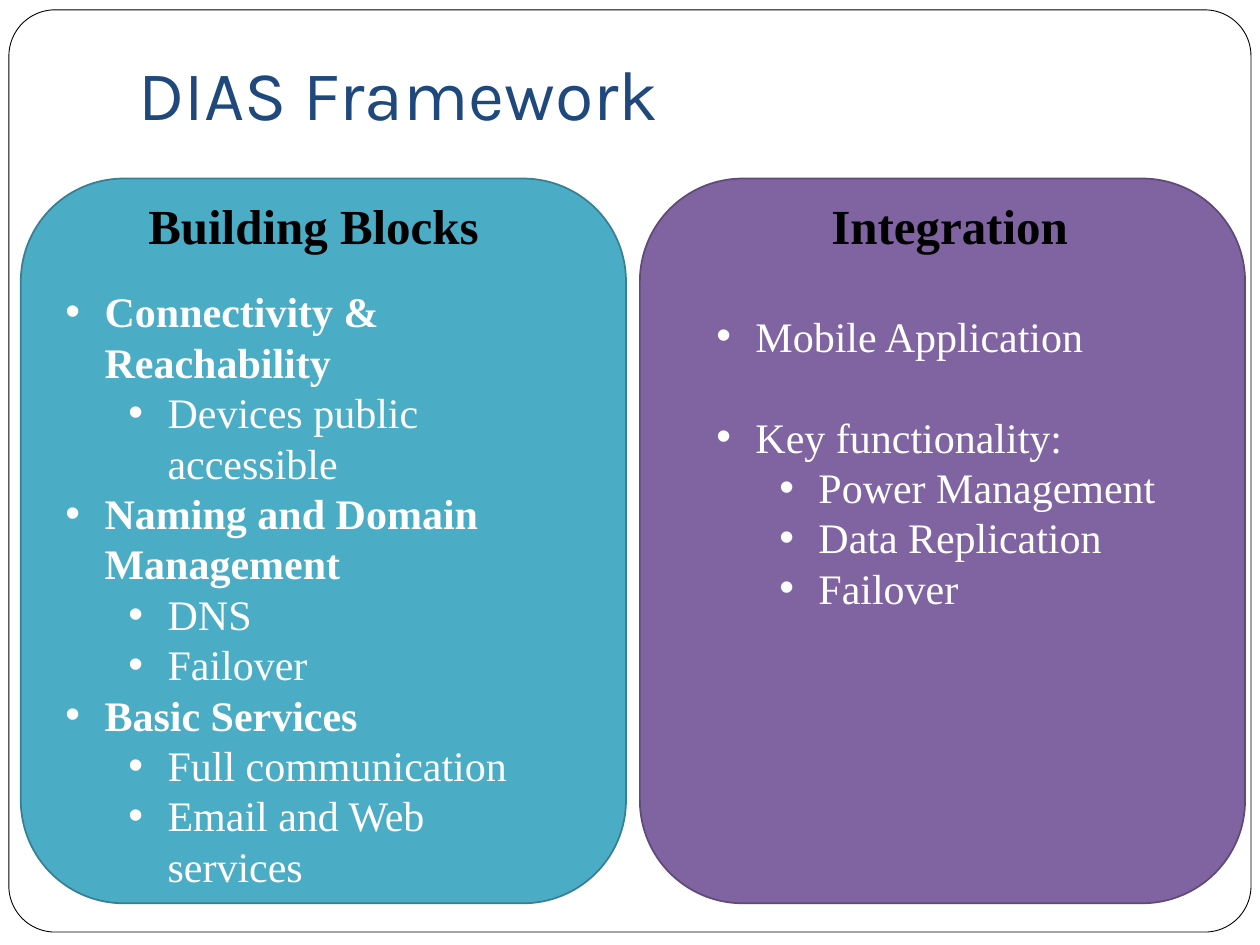
from lxml import etree
from pptx import Presentation
from pptx import util as u
from pptx.dml.color import RGBColor
from pptx.enum import shapes, text
from pptx.oxml import ns

WHITE = RGBColor(0xFF, 0xFF, 0xFF)
BLACK = RGBColor(0, 0, 0)
NAVY = RGBColor(0x1F, 0x49, 0x7D)
TEAL = RGBColor(0x4B, 0xAC, 0xC6)
TEAL_EDGE = RGBColor(0x37, 0x7F, 0x92)
PURPLE = RGBColor(0x80, 0x64, 0xA2)
PURPLE_EDGE = RGBColor(0x5F, 0x4A, 0x78)

SERIF = "Times New Roman"
LINE_FACTOR = 1.2
INDENTS = (0.79, 2.06)
HANGING = 0.79

TITLE = "DIAS Framework"
PANELS = [
    {
        "heading": "Building Blocks", "heading_at": (2.74, 3.81, 8.05, 1.45),
        "fill": TEAL, "edge": TEAL_EDGE,
        "list_at": (1.07, 5.64, 10.59, 12.57), "bold_top": True, "gap": 0,
        "items": [
            (0, "Connectivity & Reachability"),
            (1, "Devices public accessible"),
            (0, "Naming and Domain Management"),
            (1, "DNS"),
            (1, "Failover"),
            (0, "Basic Services"),
            (1, "Full communication"),
            (1, "Email and Web services"),
        ],
    },
    {
        "heading": "Integration", "heading_at": (16.51, 3.81, 5.36, 1.45),
        "fill": PURPLE, "edge": PURPLE_EDGE,
        "list_at": (14.19, 6.13, 9.53, 8.46), "bold_top": False, "gap": 28.8,
        "items": [
            (0, "Mobile Application"),
            (0, "Key functionality:"),
            (1, "Power Management"),
            (1, "Data Replication"),
            (1, "Failover"),
        ],
    },
]
PANEL_LEFT, PANEL_TOP, PANEL_WIDTH, PANEL_HEIGHT = 0.42, 3.6, 12.2, 14.61
PANEL_STEP = 12.48


def add_panel(page, area, fill, edge, width, radius):
    panel = page.shapes.add_shape(
        shapes.MSO_SHAPE.ROUNDED_RECTANGLE, *map(u.Cm, area))
    panel.shadow.inherit = False
    panel.adjustments[0] = radius
    panel.fill.solid()
    panel.fill.fore_color.rgb = fill
    panel.line.color.rgb = edge
    panel.line.width = u.Pt(width)


def add_bullet(para, level):
    para.level = level
    props = para._p.get_or_add_pPr()
    props.set("marL", str(u.Cm(INDENTS[level])))
    props.set("indent", str(-u.Cm(HANGING)))
    etree.SubElement(props, ns.qn("a:buFont"), typeface="Arial")
    etree.SubElement(props, ns.qn("a:buChar"), char="•")


def add_text(page, area, items, size, color, font=SERIF, bold=False,
             bold_top=False, bullets=False, gap=0, wrap=True,
             anchor=text.MSO_ANCHOR.TOP, bottom=0.13, spacing=LINE_FACTOR):
    box = page.shapes.add_textbox(*map(u.Cm, area))
    frame = box.text_frame
    frame.word_wrap = wrap
    frame.vertical_anchor = anchor
    frame.margin_bottom = u.Cm(bottom)
    for index, (level, words) in enumerate(items):
        para = frame.add_paragraph() if index else frame.paragraphs[0]
        if spacing:
            para.line_spacing = u.Pt(size * spacing)
        if gap and index and level == 0:
            para.space_before = u.Pt(gap)
        if bullets:
            add_bullet(para, level)
        span = para.add_run()
        span.text = words
        span.font.name = font
        span.font.size = u.Pt(size)
        span.font.bold = bold or (bold_top and level == 0)
        span.font.color.rgb = color


def main():
    deck = Presentation()
    deck.slide_width, deck.slide_height = u.Cm(25.4), u.Cm(19.05)
    page = deck.slides.add_slide(deck.slide_layouts[6])

    add_panel(page, (0.18, 0.2, 25.04, 18.59), WHITE, BLACK, 0.5, 0.05)
    add_text(page, (2.54, -0.2, 21.59, 3.16), [(0, TITLE)], 40, NAVY,
             font="Karla", anchor=text.MSO_ANCHOR.BOTTOM, bottom=0.25,
             spacing=None)

    for index, panel in enumerate(PANELS):
        left = PANEL_LEFT + index * PANEL_STEP
        add_panel(page, (left, PANEL_TOP, PANEL_WIDTH, PANEL_HEIGHT),
                  panel["fill"], panel["edge"], 1, 0.17)
        add_text(page, panel["list_at"], panel["items"], 24, WHITE,
                 bold_top=panel["bold_top"], bullets=True, gap=panel["gap"])
        add_text(page, panel["heading_at"], [(0, panel["heading"])], 28, BLACK,
                 bold=True, wrap=False)

    deck.save("out.pptx")


if __name__ == "__main__":
    main()
